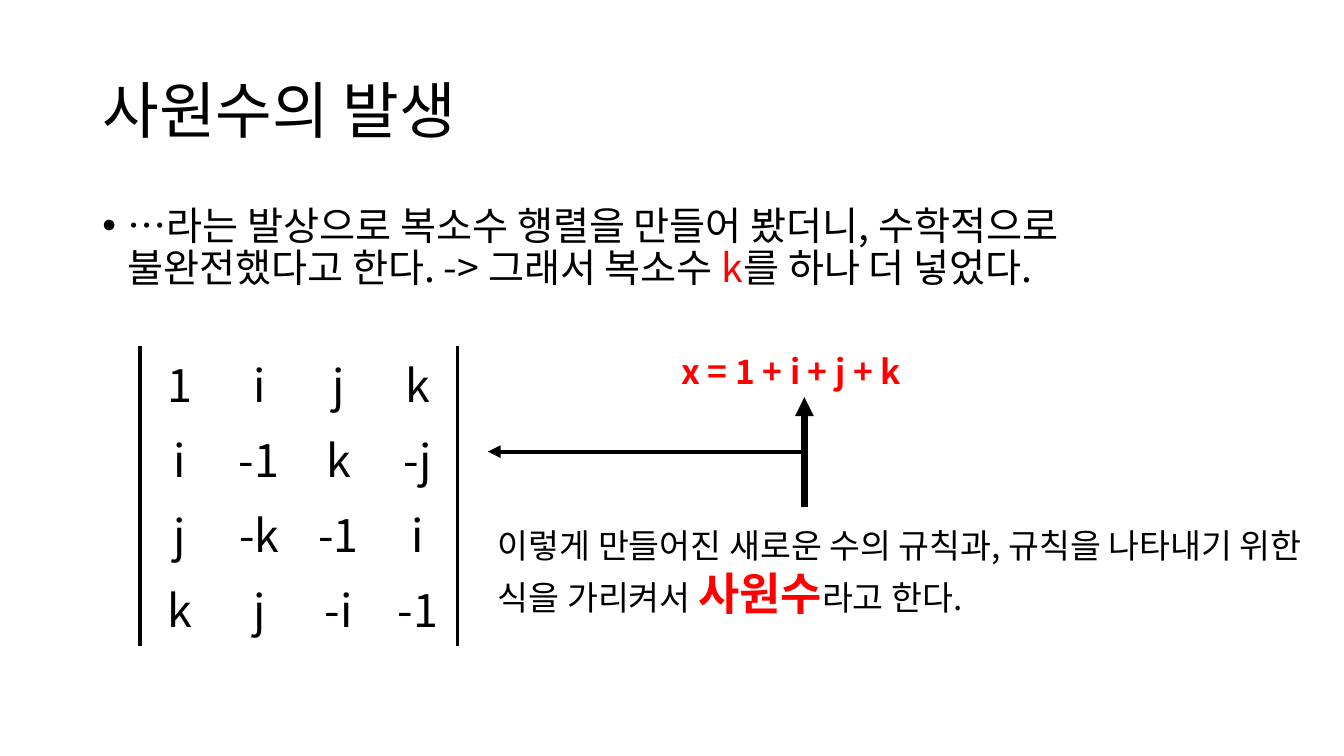
from pptx import Presentation
from pptx import util as u
from pptx.dml.color import RGBColor
from pptx.enum import shapes, text
from pptx.oxml import parse_xml
from pptx.oxml.ns import nsdecls

Pt = u.Pt
FONT = "Noto Sans CJK KR"
BLACK, RED, WHITE = "000000", "FF0000", "FFFFFF"

TITLE = "사원수의 발생"
IDEA = [
    [("…라는 발상으로 복소수 행렬을 만들어 봤더니, 수학적으로", 28, BLACK, False)],
    [("불완전했다고 한다. -> 그래서 복소수 ", 28, BLACK, False),
     ("k", 28, RED, False),
     ("를 하나 더 넣었다.", 28, BLACK, False)],
]
NAMING = [[
    ("이렇게 만들어진 새로운 수의 규칙과, 규칙을 나타내기 위한 식을 가리켜서 ", 24, BLACK, False),
    ("사원수", 32, RED, True),
    ("라고 한다.", 24, BLACK, False),
]]
FORMULA = [[("x = 1 + i + j + k", 24, RED, True)]]
MATRIX = [
    ["1", "i", "j", "k"],
    ["i", "-1", "k", "-j"],
    ["j", "-k", "-1", "i"],
    ["k", "j", "-i", "-1"],
]
ARROWS = [
    ((574.6, 362.2), (574.6, 283.7), 4.5),
    ((574.6, 322.6), (348.5, 322.6), 3),
]


def color(code):
    return RGBColor.from_string(code)


def style(run, size, code, bold=False):
    font = run.font
    font.size, font.bold, font.name = Pt(size), bold, FONT
    font.color.rgb = color(code)
    east = parse_xml(f'<a:ea {nsdecls("a")} typeface="{FONT}"/>')
    font._element.find("{*}latin").addnext(east)


def write(slide, box, lines):
    frame = slide.shapes.add_textbox(*map(Pt, box)).text_frame
    frame.word_wrap = True
    para = frame.paragraphs[0]
    for row, line in enumerate(lines):
        if row:
            para.add_line_break()
        for words, size, code, bold in line:
            run = para.add_run()
            run.text = words
            style(run, size, code, bold)
    return para


def bullet(para):
    para.line_spacing = 0.9
    para.space_before = Pt(10)
    props = para._p.get_or_add_pPr()
    props.set("marL", str(Pt(18)))
    props.set("indent", str(-Pt(18)))
    props.append(parse_xml(f'<a:buFont {nsdecls("a")} typeface="Arial"/>'))
    props.append(parse_xml(f'<a:buChar {nsdecls("a")} char="•"/>'))


def border(cell, tag, width):
    paint = (f'<a:solidFill><a:srgbClr val="{BLACK}"/></a:solidFill>'
             if width else "<a:noFill/>")
    return parse_xml(f'<a:{tag} {nsdecls("a")} w="{Pt(width)}">{paint}</a:{tag}>')


def matrix(slide):
    count = len(MATRIX)
    box = (100.1, 247, 226.8, 214.4)
    table = slide.shapes.add_table(count, count, *map(Pt, box)).table
    table.first_row = table.horz_banding = False
    for r, row in enumerate(MATRIX):
        for c, value in enumerate(row):
            cell = table.cell(r, c)
            cell.text_frame.text = value
            cell.vertical_anchor = text.MSO_ANCHOR.MIDDLE
            para = cell.text_frame.paragraphs[0]
            para.alignment = text.PP_ALIGN.CENTER
            style(para.runs[0], 32, BLACK)
            cell.fill.solid()
            cell.fill.fore_color.rgb = color(WHITE)
            widths = {"lnL": 3 * (c == 0), "lnR": 3 * (c == count - 1),
                      "lnT": 0, "lnB": 0}
            props = cell._tc.get_or_add_tcPr()
            for place, (tag, width) in enumerate(widths.items()):
                props.insert(place, border(cell, tag, width))


def arrow(slide, start, end, width):
    link = slide.shapes.add_connector(
        shapes.MSO_CONNECTOR.STRAIGHT, *map(Pt, start + end))
    link.line.color.rgb = color(BLACK)
    link.line.width = Pt(width)
    link.line._get_or_add_ln().append(
        parse_xml(f'<a:tailEnd {nsdecls("a")} type="triangle"/>'))
    link._element.spPr.append(parse_xml(f'<a:effectLst {nsdecls("a")}/>'))


def main():
    deck = Presentation()
    deck.slide_width, deck.slide_height = Pt(960), Pt(540)
    slide = deck.slides.add_slide(deck.slide_layouts[5])

    title = slide.shapes.title
    title.left, title.top, title.width, title.height = map(Pt, (66, 28.8, 828, 104.4))
    title.text_frame.text = TITLE
    title.text_frame.vertical_anchor = text.MSO_ANCHOR.MIDDLE
    head = title.text_frame.paragraphs[0]
    head.alignment = text.PP_ALIGN.LEFT
    head.line_spacing = 0.9
    style(head.runs[0], 44, BLACK)

    bullet(write(slide, (66, 144, 828, 342.7), IDEA))
    matrix(slide)
    write(slide, (348.5, 371.5, 611.5, 74.9), NAMING)
    write(slide, (479.5, 247, 480.2, 36), FORMULA)
    for start, end, width in ARROWS:
        arrow(slide, start, end, width)
    deck.save("out.pptx")


if __name__ == "__main__":
    main()
